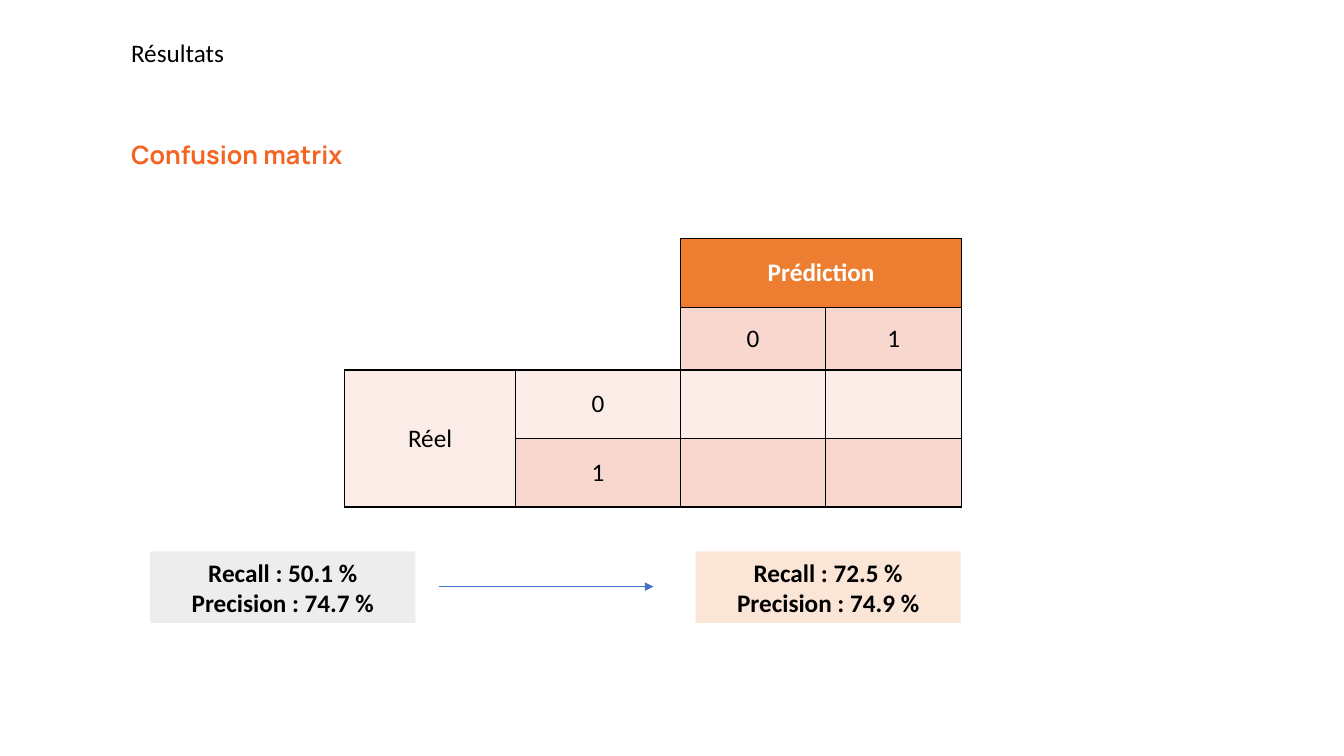
from dataclasses import dataclass

from lxml import etree
from pptx import Presentation
from pptx.dml.color import RGBColor
from pptx.enum.shapes import MSO_CONNECTOR, MSO_SHAPE
from pptx.enum.text import MSO_ANCHOR, MSO_AUTO_SIZE, PP_ALIGN
from pptx.oxml.ns import qn
from pptx.util import Inches, Pt

LEFT, CENTER = PP_ALIGN.LEFT, PP_ALIGN.CENTER
TOP, MIDDLE = MSO_ANCHOR.TOP, MSO_ANCHOR.MIDDLE
RECTANGLE, STRAIGHT = MSO_SHAPE.RECTANGLE, MSO_CONNECTOR.STRAIGHT
NO_AUTOFIT = MSO_AUTO_SIZE.NONE
TITLE_AND_CONTENT = 1
PLAIN_TABLE_STYLE = "{2D5ABB26-0587-4C30-8999-92F81FD0307C}"
WIDTH, HEIGHT = Inches(13.33), Inches(7.5)


@dataclass(frozen=True)
class Theme:
    body_font: str = "Calibri"
    heading_font: str = "Manrope"
    size: int = 18
    black: str = "000000"
    white: str = "FFFFFF"
    heading: str = "F46524"
    header: str = "ED7D31"
    band_dark: str = "F8D7CE"
    band_light: str = "FCECE8"
    before: str = "EDEDED"
    after: str = "FBE5D6"
    arrow: str = "4472C4"
    border_width: float = 1
    arrow_width: float = 0.5


THEME = Theme()


@dataclass(frozen=True)
class Area:
    """A rectangle in percent of the slide's width and height."""
    left: float
    top: float
    width: float
    height: float

    def lengths(self) -> tuple[int, int, int, int]:
        return across(self.left), down(self.top), across(self.width), down(self.height)


@dataclass(frozen=True)
class Heading:
    text: str
    area: Area
    font: str
    color: str
    bold: bool
    space_after: float


@dataclass(frozen=True)
class MatrixCell:
    row: int
    column: int
    fill: str
    text: str = ""
    color: str = THEME.black
    bold: bool = False
    last_row: int = 0
    last_column: int = 0


@dataclass(frozen=True)
class Score:
    left: float
    fill: str
    recall: str
    precision: str


def across(percent: float) -> int:
    return round(WIDTH * percent / 100)


def down(percent: float) -> int:
    return round(HEIGHT * percent / 100)


def style(para, align, color: str, bold: bool, font: str = THEME.body_font) -> None:
    para.alignment = align
    para.font.name = font
    para.font.size = Pt(THEME.size)
    para.font.bold = bold
    para.font.color.rgb = RGBColor.from_string(color)


def paint(item, color: str) -> None:
    item.fill.solid()
    item.fill.fore_color.rgb = RGBColor.from_string(color)


def draw_heading(box, heading: Heading) -> None:
    box.left, box.top, box.width, box.height = heading.area.lengths()
    frame = box.text_frame
    frame.text = heading.text
    frame.word_wrap = True
    frame.auto_size = NO_AUTOFIT
    frame.vertical_anchor = TOP
    para = frame.paragraphs[0]
    style(para, LEFT, heading.color, heading.bold, heading.font)
    para.space_before, para.space_after = Pt(0), Pt(heading.space_after)
    properties = para._p.get_or_add_pPr()
    properties.set("marL", "0")
    properties.set("indent", "0")
    etree.SubElement(properties, qn("a:buNone")).getparent().append(
        properties.find(qn("a:defRPr")))


def add_borders(cell) -> None:
    properties = cell._tc.get_or_add_tcPr()
    for side in ("L", "R", "T", "B"):
        line = etree.SubElement(properties, qn(f"a:ln{side}"), w=str(Pt(THEME.border_width)))
        fill = etree.SubElement(line, qn("a:solidFill"))
        etree.SubElement(fill, qn("a:srgbClr"), val=THEME.black)


def draw_matrix(page, area: Area, columns: list[float], rows: list[float],
                cells: list[MatrixCell]) -> None:
    table = page.shapes.add_table(len(rows), len(columns), *area.lengths()).table
    table.first_row = table.horz_banding = False
    table._tbl.tblPr.find(qn("a:tableStyleId")).text = PLAIN_TABLE_STYLE
    for column, width in zip(table.columns, columns):
        column.width = across(width)
    for row, height in zip(table.rows, rows):
        row.height = down(height)
    for item in cells:
        last_row = max(item.row, item.last_row)
        last_column = max(item.column, item.last_column)
        for row in range(item.row, last_row + 1):
            for column in range(item.column, last_column + 1):
                add_borders(table.cell(row, column))
                paint(table.cell(row, column), item.fill)
        cell = table.cell(item.row, item.column)
        if (last_row, last_column) != (item.row, item.column):
            cell.merge(table.cell(last_row, last_column))
        cell.text = item.text
        cell.vertical_anchor = MIDDLE
        style(cell.text_frame.paragraphs[0], CENTER, item.color, item.bold)


def draw_score(page, score: Score) -> None:
    box = page.shapes.add_shape(RECTANGLE, *Area(score.left, 72.93, 19.73, 9.47).lengths())
    box.shadow.inherit = False
    paint(box, score.fill)
    box.line.fill.background()
    frame = box.text_frame
    frame.word_wrap = True
    frame.vertical_anchor = MIDDLE
    frame.text = f"Recall : {score.recall} %\nPrecision : {score.precision} %"
    for para in frame.paragraphs:
        style(para, CENTER, THEME.black, True)


def draw_arrow(page, start: float, end: float, level: float) -> None:
    arrow = page.shapes.add_connector(
        STRAIGHT, across(start), down(level), across(end), down(level))
    arrow.line.color.rgb = RGBColor.from_string(THEME.arrow)
    arrow.line.width = Pt(THEME.arrow_width)
    etree.SubElement(arrow.line._get_or_add_ln(), qn("a:tailEnd"), type="triangle")
    etree.SubElement(arrow._element.spPr, qn("a:effectLst"))


def main() -> None:
    deck = Presentation()
    deck.slide_width, deck.slide_height = WIDTH, HEIGHT
    page = deck.slides.add_slide(deck.slide_layouts[TITLE_AND_CONTENT])

    # Title and section heading
    draw_heading(page.shapes.title, Heading(
        "Résultats", Area(9, 4.27, 50, 5.33), THEME.body_font, THEME.black, False, 0))
    draw_heading(page.placeholders[1], Heading(
        "Confusion matrix", Area(9, 17.73, 50, 9.47),
        THEME.heading_font, THEME.heading, True, 16))

    # Confusion matrix
    cells = [
        MatrixCell(0, 2, THEME.header, "Prédiction", THEME.white, True, last_column=3),
        MatrixCell(2, 0, THEME.band_light, "Réel", last_row=3),
    ]
    for label in (0, 1):
        band = (THEME.band_light, THEME.band_dark)[label]
        cells.append(MatrixCell(1, 2 + label, THEME.band_dark, str(label)))
        cells.append(MatrixCell(2 + label, 1, band, str(label)))
        cells += [MatrixCell(2 + label, column, band) for column in (2, 3)]
    columns, rows = [12.68, 12.3, 10.8, 10.13], [9.07, 8.27, 9.07, 9.07]
    draw_matrix(page, Area(25.66, 31.6, sum(columns), sum(rows)), columns, rows, cells)

    # Scores before and after
    for score in (Score(11.18, THEME.before, "50.1", "74.7"),
                  Score(51.76, THEME.after, "72.5", "74.9")):
        draw_score(page, score)
    draw_arrow(page, 32.63, 48.61, 77.6)

    deck.save("out.pptx")


if __name__ == "__main__":
    main()
